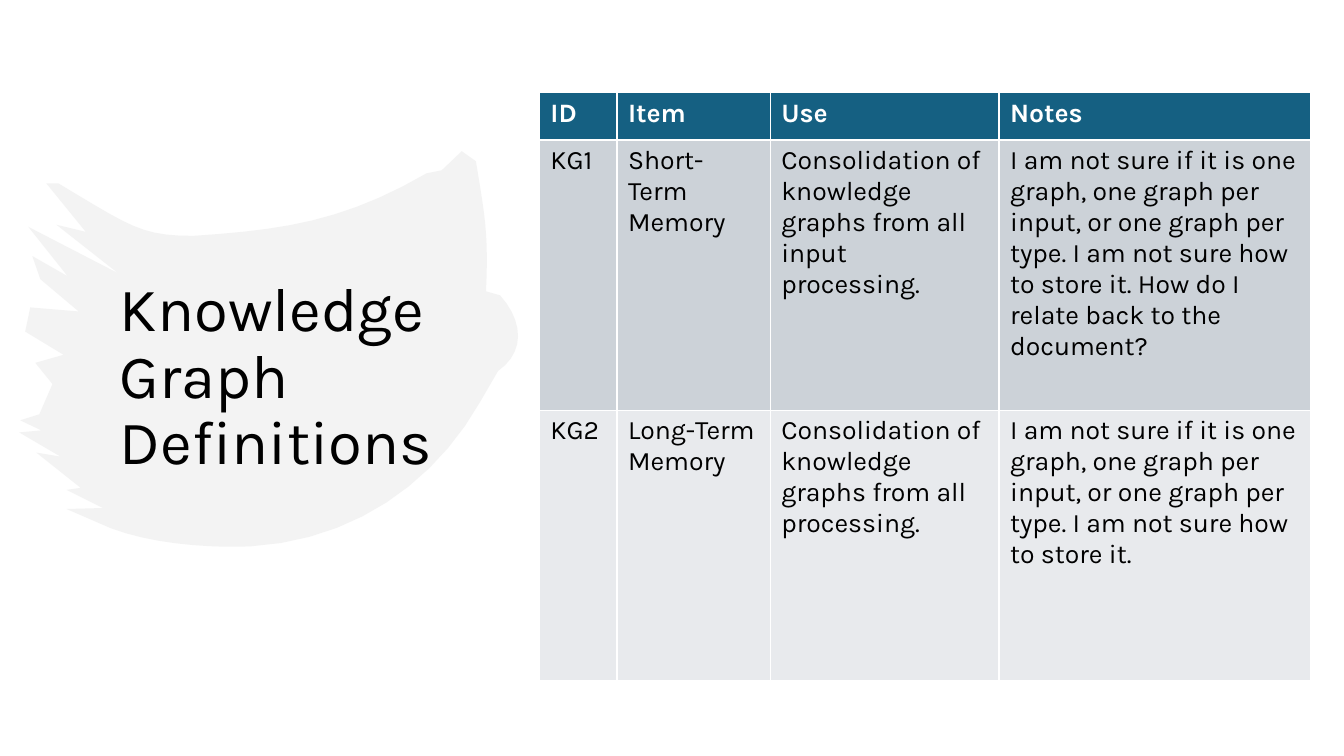
from lxml.etree import SubElement
from pptx import Presentation
from pptx.dml.color import RGBColor
from pptx.enum.text import MSO_ANCHOR
from pptx.oxml.ns import qn
from pptx.util import Inches, Pt

# Content
TITLE = "Knowledge Graph Definitions"
ROWS = [
    ("ID", "Item", "Use", "Notes"),
    ("KG1", "Short-Term Memory",
     "Consolidation of knowledge graphs from all input processing.",
     "I am not sure if it is one graph, one graph per input, or one graph per type. "
     "I am not sure how to store it. How do I relate back to the document?"),
    ("KG2", "Long-Term Memory",
     "Consolidation of knowledge graphs from all processing.",
     "I am not sure if it is one graph, one graph per input, or one graph per type. "
     "I am not sure how to store it."),
]
COLUMN_WIDTHS = (0.77, 1.52, 2.27, 3.09)
ROW_HEIGHTS = (0.47, 2.68, 2.68)
FONT = "Karla"
COLORS = {"brush": "E8E8E8", "header": "156082", "odd": "CCD2D8",
          "even": "E8EAED", "light": "FFFFFF", "dark": "000000"}
ROW_FILLS = ("header", "odd", "even")

# Brush stroke: each edge is a smooth curve (start, two controls, end), in inches
SWEEPS = [
    ((4.72, 1.6), (4.8, 2.1), (4.85, 2.3), (4.82, 2.89)),
    ((4.96, 2.93), (5.2, 3.2), (5.2, 3.5), (4.94, 3.68)),
    ((4.76, 3.99), (4.3, 4.8), (3.5, 5.36), (2.49, 5.42)),
    ((2.49, 5.42), (2.1, 5.44), (1.4, 5.4), (0.96, 5.18)),
]
BRISTLES = [
    (0.66, 5.05), (1.02, 5.04), (0.66, 4.86), (0.8, 4.84), (0.36, 4.49), (0.6, 4.53),
    (0.19, 4.29), (0.41, 4.27), (0.2, 4.17), (0.39, 4.11), (0.52, 3.81), (0.35, 3.6),
    (0.63, 3.52), (0.25, 3.29), (0.3, 3.05), (0.78, 3.09), (0.4, 2.77), (0.32, 2.54),
    (0.67, 2.74), (0.28, 2.25), (1.17, 2.71), (0.56, 2.23), (0.85, 2.3), (0.46, 1.82),
]
TOP_SWEEPS = [
    ((0.58, 1.82), (1.3, 2.25), (1.4, 2.34), (1.92, 2.34)),
    ((1.92, 2.34), (2.8, 2.28), (3.4, 2.2), (4.23, 1.72)),
]
TOP_TIP = [(4.38, 1.69), (4.58, 1.5)]
STEPS = 10


def curve_points(start, first, second, end):
    """Points at equal parameter steps along a cubic curve."""
    points = []
    for step in range(STEPS + 1):
        t = step / STEPS
        s = 1 - t
        points.append(tuple(
            s ** 3 * a + 3 * s * s * t * b + 3 * s * t * t * c + t ** 3 * d
            for a, b, c, d in zip(start, first, second, end)))
    return points


def brush_outline():
    lower = [point for sweep in SWEEPS for point in curve_points(*sweep)]
    upper = [point for sweep in TOP_SWEEPS for point in curve_points(*sweep)]
    return lower + BRISTLES + upper + TOP_TIP


def color(name):
    return RGBColor.from_string(COLORS[name])


def write(frame, text, size, color_name, bold=False):
    frame.text = text
    frame.word_wrap = True
    for span in frame.paragraphs[0].runs:
        span.font.name = FONT
        span.font.size = Pt(size)
        span.font.bold = bold
        span.font.color.rgb = color(color_name)


def draw_brush(page):
    points = [(Inches(x), Inches(y)) for x, y in brush_outline()]
    builder = page.shapes.build_freeform(*points[0])
    builder.add_line_segments(points[1:], close=True)
    brush = builder.convert_to_shape()
    brush.shadow.inherit = False
    brush.line.fill.background()
    brush.fill.solid()
    brush.fill.fore_color.rgb = color("brush")
    # Half transparent fill
    shade = next(brush.element.spPr.iter(qn("a:srgbClr")))
    SubElement(shade, qn("a:alpha")).set("val", "50000")


def draw_title(page):
    box = page.shapes.add_textbox(Inches(1.09), Inches(0.75), Inches(3.82), Inches(6.01))
    frame = box.text_frame
    write(frame, TITLE, 44, "dark")
    frame.vertical_anchor = MSO_ANCHOR.MIDDLE
    frame.paragraphs[0].line_spacing = 0.9


def draw_table(page):
    table = page.shapes.add_table(
        len(ROWS), len(COLUMN_WIDTHS), Inches(5.35), Inches(0.92),
        Inches(sum(COLUMN_WIDTHS)), Inches(sum(ROW_HEIGHTS))).table
    for column, width in zip(table.columns, COLUMN_WIDTHS):
        column.width = Inches(width)
    for row, height, fill, texts in zip(table.rows, ROW_HEIGHTS, ROW_FILLS, ROWS):
        row.height = Inches(height)
        is_header = fill == "header"
        for cell, text in zip(row.cells, texts):
            cell.fill.solid()
            cell.fill.fore_color.rgb = color(fill)
            cell.margin_left = cell.margin_right = Inches(0.11)
            cell.margin_top = cell.margin_bottom = Inches(0.05)
            write(cell.text_frame, text, 19, "light" if is_header else "dark", is_header)


def main():
    deck = Presentation()
    deck.slide_width, deck.slide_height = Inches(13.33), Inches(7.5)
    page = deck.slides.add_slide(deck.slide_layouts[6])
    draw_brush(page)
    draw_title(page)
    draw_table(page)
    deck.save("out.pptx")


if __name__ == "__main__":
    main()
